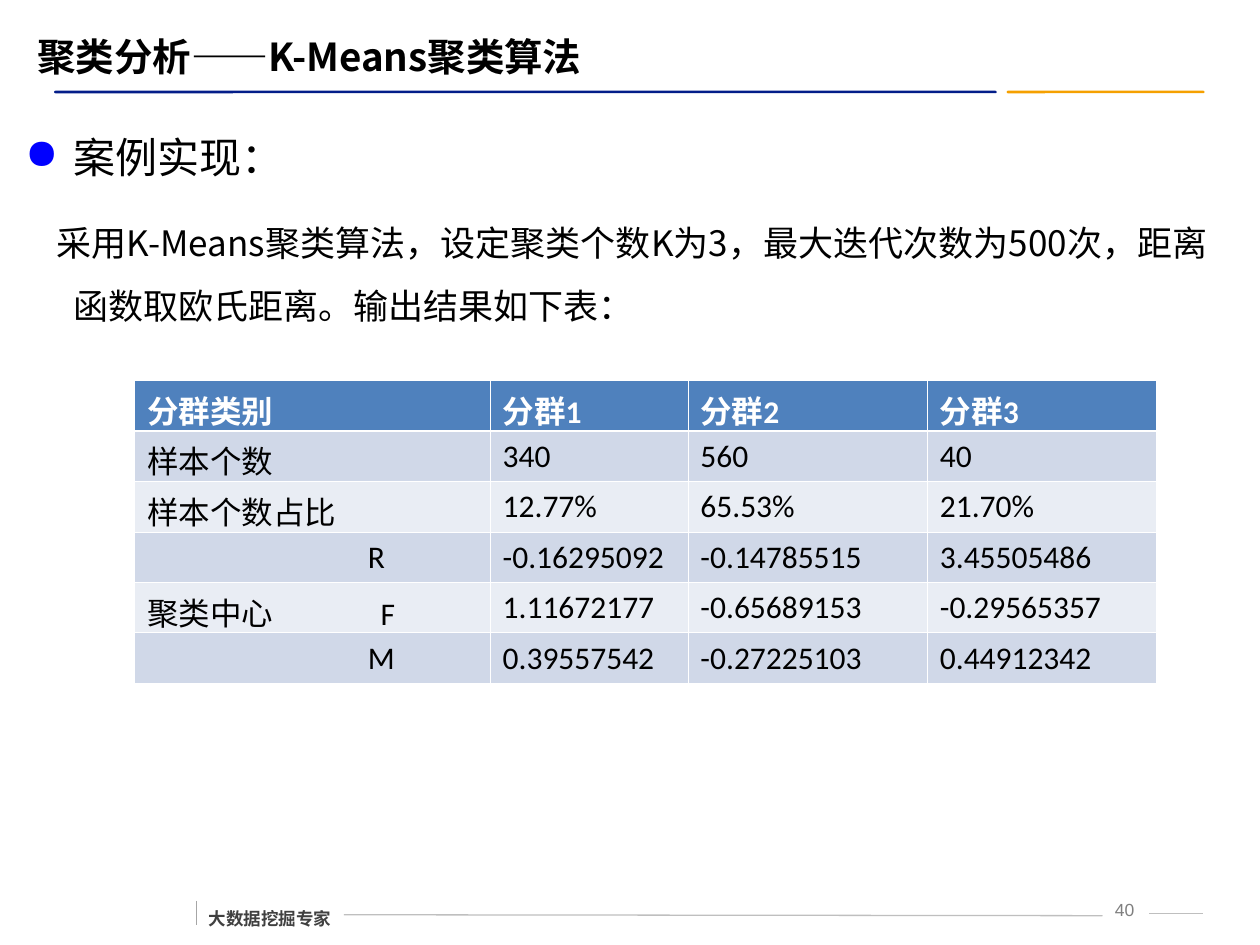
from typing import NamedTuple, Optional

from lxml.etree import SubElement
from pptx import Presentation
from pptx.dml.color import RGBColor
from pptx.enum.shapes import MSO_CONNECTOR, MSO_SHAPE
from pptx.enum.text import MSO_ANCHOR, PP_ALIGN
from pptx.oxml.ns import qn
from pptx.util import Emu, Inches, Pt

COLORS = {
    "black": "000000", "white": "FFFFFF", "navy": "031D89", "orange": "F5A000",
    "bullet": "0000FF", "number": "7F7F7F", "slogan": "404040",
    "rule": "BFBFBF", "tick": "A6A6A6",
    "header": "4F81BD", "dark band": "D0D8E8", "light band": "E9EDF4",
}
CJK = "Noto Sans CJK SC"


class Area(NamedTuple):
    """A rectangle in percent of the slide's width and height."""
    left: float
    top: float
    width: float
    height: float


class Bar(NamedTuple):
    area: Area
    color: str


class Rule(NamedTuple):
    """A thin line between two points in percent of the slide's size."""
    start: tuple[float, float]
    end: tuple[float, float]
    color: str


class Style(NamedTuple):
    size: float
    color: str = "black"
    bold: bool = False
    font: str = CJK


class Label(NamedTuple):
    area: Area
    text: str
    style: Style
    align: Optional[PP_ALIGN] = None
    anchor: MSO_ANCHOR = MSO_ANCHOR.TOP
    wrap: bool = True
    line_spacing: Optional[float] = None


BARS = [
    Bar(Area(79.9, 9.6, 15.7, 0.27), "orange"),
    Bar(Area(4.3, 9.6, 74.8, 0.27), "navy"),
]
RULES = [
    Rule((27.3, 96.8), (87.5, 96.9), "rule"),
    Rule((91.2, 96.7), (95.5, 96.7), "rule"),
    Rule((15.6, 95.33), (15.6, 97.87), "tick"),
]
LABELS = [
    Label(Area(86.9, 94.53, 4.7, 3.33), "40", Style(10, "number", font="Arial"),
          align=PP_ALIGN.CENTER),
    Label(Area(15.6, 94.27, 11.7, 4.67), "大数据挖掘专家", Style(10, "slogan", True),
          wrap=False, line_spacing=1.5),
    Label(Area(2, 2.8, 91, 6.27), "聚类分析——K-Means聚类算法", Style(22, bold=True),
          anchor=MSO_ANCHOR.MIDDLE),
]
BODY_AREA = Area(2, 11.2, 94.5, 23.33)
HEADING = "案例实现："
EXPLANATION = ("采用K-Means聚类算法，设定聚类个数K为3，最大迭代次数为500次，"
               "距离函数取欧氏距离。输出结果如下表：")

TABLE_AREA = Area(10.7, 40.27, 81.1, 32)
COLUMN_SHARES = [28.2, 15.7, 19, 18.2]
ROWS = [
    ("分群类别", "分群1", "分群2", "分群3"),
    ("样本个数", "340", "560", "40"),
    ("样本个数占比", "12.77%", "65.53%", "21.70%"),
    ("\tR", "-0.16295092", "-0.14785515", "3.45505486"),
    ("聚类中心\tF", "1.11672177", "-0.65689153", "-0.29565357"),
    ("\tM", "0.39557542", "-0.27225103", "0.44912342"),
]
CENTER_TAB, CENTER_TAB_AFTER_TEXT = Inches(1.75), Inches(1.85)

deck = Presentation()
deck.slide_width, deck.slide_height = Inches(10), Inches(7.5)
page = deck.slides.add_slide(deck.slide_layouts[6])


def across(percent: float) -> Emu:
    return Emu(round(deck.slide_width * percent / 100))


def down(percent: float) -> Emu:
    return Emu(round(deck.slide_height * percent / 100))


def place(area: Area) -> tuple[Emu, Emu, Emu, Emu]:
    return across(area.left), down(area.top), across(area.width), down(area.height)


def rgb(name: str) -> RGBColor:
    return RGBColor.from_string(COLORS[name])


def write(para, text: str, style: Style) -> None:
    para.text = text
    for span in para.runs:
        span.font.size = Pt(style.size)
        span.font.bold = style.bold
        span.font.color.rgb = rgb(style.color)
        span.font.name = style.font
        SubElement(span.font._element, qn("a:ea"), typeface=CJK)


def draw_bar(bar: Bar) -> None:
    shape = page.shapes.add_shape(MSO_SHAPE.ROUNDED_RECTANGLE, *place(bar.area))
    shape.adjustments[0] = 0.5
    shape.shadow.inherit = False
    shape.fill.solid()
    shape.fill.fore_color.rgb = rgb(bar.color)
    shape.line.fill.background()


def draw_rule(rule: Rule) -> None:
    (x1, y1), (x2, y2) = rule.start, rule.end
    line = page.shapes.add_connector(
        MSO_CONNECTOR.STRAIGHT, across(x1), down(y1), across(x2), down(y2))
    line.line.color.rgb = rgb(rule.color)
    line.line.width = Pt(0.75)
    SubElement(line._element.spPr, qn("a:effectLst"))


def draw_label(label: Label) -> None:
    frame = page.shapes.add_textbox(*place(label.area)).text_frame
    frame.word_wrap = label.wrap
    frame.vertical_anchor = label.anchor
    para = frame.paragraphs[0]
    write(para, label.text, label.style)
    para.alignment = label.align
    para.line_spacing = label.line_spacing


def draw_body() -> None:
    frame = page.shapes.add_textbox(*place(BODY_AREA)).text_frame
    frame.word_wrap = True
    frame.margin_left = frame.margin_right = frame.margin_top = frame.margin_bottom = 0
    heading, explanation = frame.paragraphs[0], frame.add_paragraph()
    for para, first_indent in ((heading, -0.38), (explanation, -0.13)):
        props = para._p.get_or_add_pPr()
        props.set("marL", str(Inches(0.38)))
        props.set("indent", str(Inches(first_indent)))
        para.line_spacing = 1.5
    props = heading._p.pPr
    SubElement(SubElement(props, qn("a:buClr")), qn("a:srgbClr"), val=COLORS["bullet"])
    SubElement(props, qn("a:buChar"), char="●")
    heading.space_after = Pt(6)
    explanation.space_before = explanation.space_after = Pt(5)
    write(heading, HEADING, Style(24))
    write(explanation, EXPLANATION, Style(20))


def draw_borders(cell, row: int) -> None:
    """Thin white edges, with a heavier one below the header row."""
    widths = {"L": 0.45, "R": 0.45, "T": 1.47 if row == 1 else 0.45,
              "B": 1.47 if row == 0 else 0.45}
    props = cell._tc.get_or_add_tcPr()
    for side, width in widths.items():
        edge = SubElement(props, qn(f"a:ln{side}"), w=str(Pt(width)))
        fill = SubElement(edge, qn("a:solidFill"))
        SubElement(fill, qn("a:srgbClr"), val=COLORS["white"])


def draw_table() -> None:
    table = page.shapes.add_table(len(ROWS), len(COLUMN_SHARES), *place(TABLE_AREA)).table
    for column, share in zip(table.columns, COLUMN_SHARES):
        column.width = across(share)
    for row, texts in enumerate(ROWS):
        band = "header" if row == 0 else "dark band" if row % 2 else "light band"
        style = Style(18, "white" if row == 0 else "black", row == 0, "Calibri")
        for col, text in enumerate(texts):
            cell = table.cell(row, col)
            draw_borders(cell, row)
            cell.fill.solid()
            cell.fill.fore_color.rgb = rgb(band)
            para = cell.text_frame.paragraphs[0]
            if "\t" in text:
                stop = CENTER_TAB if text.startswith("\t") else CENTER_TAB_AFTER_TEXT
                tabs = SubElement(para._p.get_or_add_pPr(), qn("a:tabLst"))
                SubElement(tabs, qn("a:tab"), pos=str(stop), algn="l")
            write(para, text, style)


for bar in BARS:
    draw_bar(bar)
for rule in RULES:
    draw_rule(rule)
for label in LABELS:
    draw_label(label)
draw_body()
draw_table()
deck.save("out.pptx")
